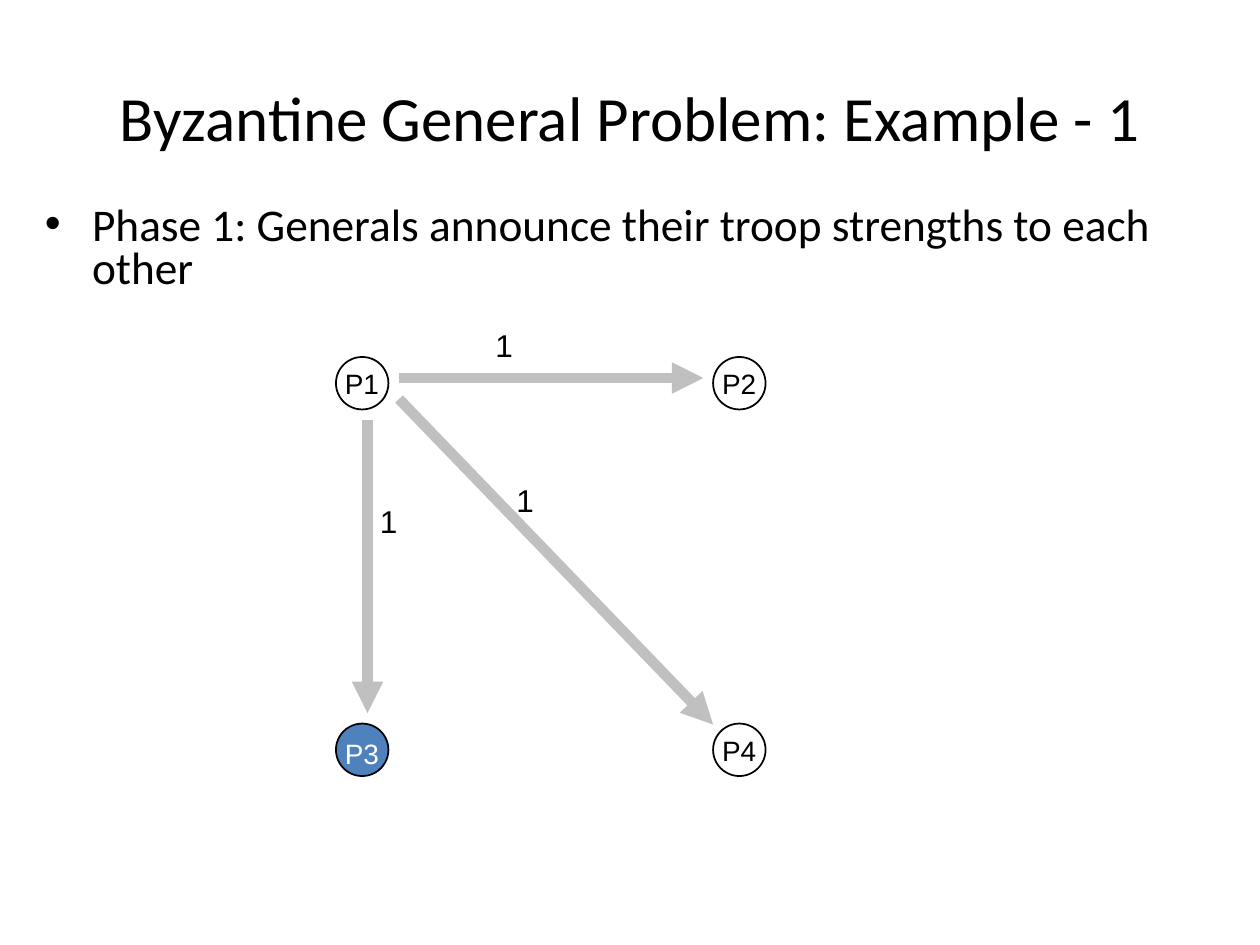
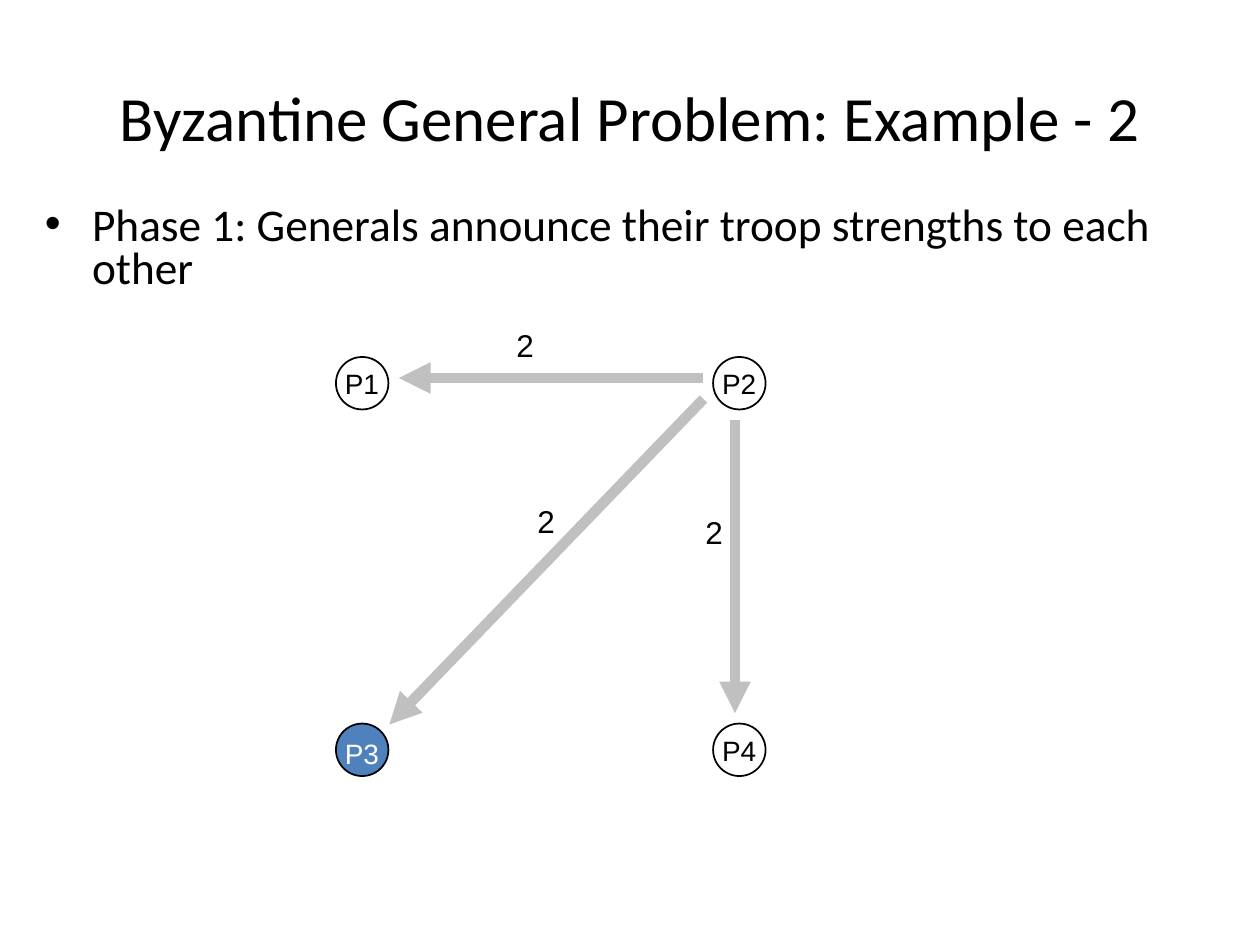
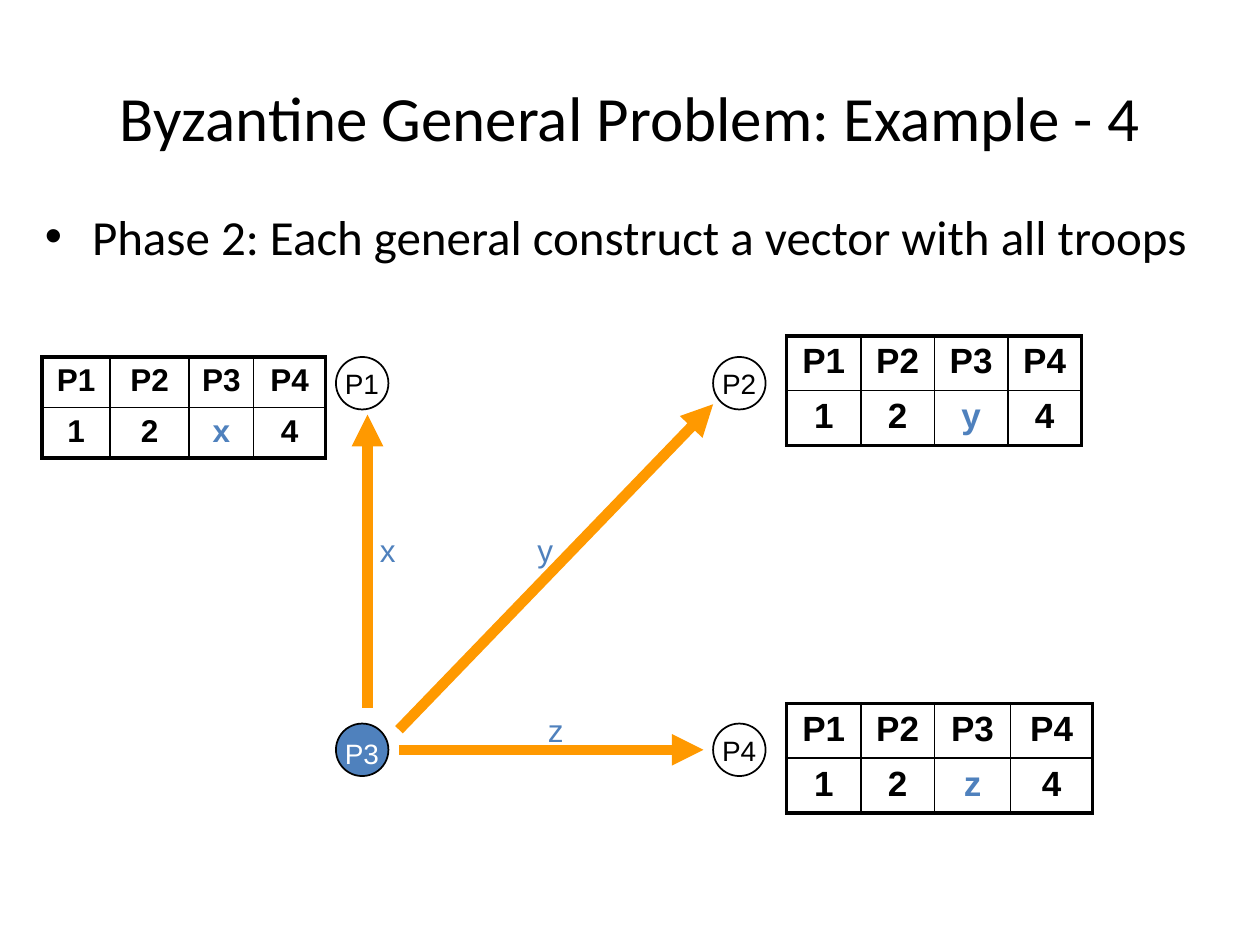
from pptx import Presentation
from pptx.dml.color import RGBColor
from pptx.enum import shapes, text
from pptx.oxml.ns import qn
from pptx.util import Pt
from lxml import etree

BLACK = RGBColor(0x00, 0x00, 0x00)
WHITE = RGBColor(0xFF, 0xFF, 0xFF)
BLUE = RGBColor(0x4F, 0x81, 0xBD)
GRAY = RGBColor(0xC0, 0xC0, 0xC0)
ORANGE = RGBColor(0xFF, 0x99, 0x00)

TITLE = "Byzantine General Problem: Example - {}"
ANNOUNCE = {"text": "Phase 1: Generals announce their troop strengths to each other",
            "size": 25.9, "spacing": 0.8}
COLLECT = {"text": "Phase 2: Each general construct a vector with all troops",
           "size": 28, "spacing": 1}

NODE_SIZE = 30
TRAITOR = "P3"
GENERALS = {"P1": (207, 219), "P2": (422.5, 219),
            "P3": (207, 428.5), "P4": (422.5, 428.5)}

# Arrows: start x, start y, end x, end y. Messages: text, left, top.
# Vectors: left, top, row height, text size, column widths, value reported by P3.
SLIDES = [
    {"number": 1, "phase": ANNOUNCE, "arrow color": GRAY, "message color": BLACK,
     "arrows": [(228, 216, 402, 216), (228, 228, 407.5, 414), (210, 240, 210, 407.5)],
     "messages": [("1", 276, 183), ("1", 288, 271.5), ("1", 210, 283.5)],
     "vectors": []},
    {"number": 2, "phase": ANNOUNCE, "arrow color": GRAY, "message color": BLACK,
     "arrows": [(402, 216, 228, 216), (402, 228, 222.5, 414), (420, 240, 420, 407.5)],
     "messages": [("2", 288, 183), ("2", 300, 283.5), ("2", 396, 289.5)],
     "vectors": []},
    {"number": 4, "phase": COLLECT, "arrow color": ORANGE, "message color": BLUE,
     "arrows": [(228, 428.5, 402, 428.5), (228, 417, 407.5, 231), (210, 404.5, 210, 237)],
     "messages": [("y", 300, 300), ("x", 210, 300), ("z", 306, 403)],
     "vectors": [(24, 204, 27, 18, (39, 45, 37, 41), "x"),
                 (449.5, 192, 31, 20, (42.5, 42, 42, 42), "y"),
                 (449.5, 402, 31, 20, (42.5, 42, 43.5, 47), "z")]},
]


def add_run(paragraph, content, size, color=BLACK, font="Arial", bold=False):
    run = paragraph.add_run()
    run.text = content
    run.font.name = font
    run.font.size = Pt(size)
    run.font.bold = bold
    run.font.color.rgb = color


def add_text(slide, box, content, size, color=BLACK, font="Arial", wrap=False):
    frame = slide.shapes.add_textbox(*map(Pt, box)).text_frame
    frame.word_wrap = wrap
    add_run(frame.paragraphs[0], content, size, color, font)
    return frame


def add_title(slide, number):
    frame = add_text(slide, (36, 21.5, 648, 90), TITLE.format(number), 36,
                     font="Calibri", wrap=True)
    frame.vertical_anchor = text.MSO_ANCHOR.MIDDLE
    frame.paragraphs[0].alignment = text.PP_ALIGN.CENTER


def add_phase(slide, phase):
    frame = add_text(slide, (18.5, 114.5, 671, 60.5), phase["text"], phase["size"],
                     font="Calibri", wrap=True)
    paragraph = frame.paragraphs[0]
    paragraph.line_spacing = phase["spacing"]
    properties = paragraph._p.get_or_add_pPr()
    properties.set("marL", str(Pt(27)))
    properties.set("indent", str(-Pt(27)))
    etree.SubElement(properties, qn("a:buFont")).set("typeface", "Arial")
    etree.SubElement(properties, qn("a:buChar")).set("char", "•")


def add_general(slide, name, center_x, center_y):
    radius = NODE_SIZE / 2
    circle = slide.shapes.add_shape(
        shapes.MSO_SHAPE.OVAL, Pt(center_x - radius), Pt(center_y - radius),
        Pt(NODE_SIZE), Pt(NODE_SIZE))
    circle.shadow.inherit = False
    circle.line.color.rgb = BLACK
    circle.line.width = Pt(1)
    if name == TRAITOR:
        circle.fill.solid()
        circle.fill.fore_color.rgb = BLUE
        color, drop = WHITE, 2
    else:
        circle.fill.background()
        color, drop = BLACK, 0
    add_text(slide, (center_x - 17, center_y - 13 + drop, 34, 26), name, 16, color)


def add_arrow(slide, points, color):
    arrow = slide.shapes.add_connector(shapes.MSO_CONNECTOR.STRAIGHT, *map(Pt, points))
    arrow.line.color.rgb = color
    arrow.line.width = Pt(6)
    etree.SubElement(arrow.line._get_or_add_ln(), qn("a:tailEnd")).set("type", "triangle")
    etree.SubElement(arrow._element.spPr, qn("a:effectLst"))


def set_border(cell, side, width):
    line = etree.SubElement(cell._tc.get_or_add_tcPr(), qn("a:ln" + side))
    line.set("w", str(Pt(width)))
    fill = etree.SubElement(line, qn("a:solidFill"))
    etree.SubElement(fill, qn("a:srgbClr")).set("val", str(BLACK))


def add_vector(slide, left, top, row_height, size, widths, reported):
    """Add the table of troop strengths that one general collects."""
    rows = [list(GENERALS), ["1", "2", reported, "4"]]
    last_row, last_column = len(rows) - 1, len(widths) - 1
    table = slide.shapes.add_table(len(rows), len(widths), Pt(left), Pt(top),
                                   Pt(sum(widths)), Pt(row_height * len(rows))).table
    table.first_row = table.horz_banding = False
    for column, width in zip(table.columns, widths):
        column.width = Pt(width)
    for r, row in enumerate(rows):
        table.rows[r].height = Pt(row_height)
        for c, value in enumerate(row):
            cell = table.cell(r, c)
            outer_sides = {"L": c == 0, "R": c == last_column,
                           "T": r == 0, "B": r == last_row}
            for side, outer in outer_sides.items():
                set_border(cell, side, 2.25 if outer else 1)
            cell.fill.background()
            paragraph = cell.text_frame.paragraphs[0]
            paragraph.alignment = text.PP_ALIGN.CENTER
            add_run(paragraph, value, size, BLUE if value == reported else BLACK, bold=True)


def main():
    presentation = Presentation()
    presentation.slide_width, presentation.slide_height = Pt(720), Pt(540)
    for content in SLIDES:
        slide = presentation.slides.add_slide(presentation.slide_layouts[6])
        add_title(slide, content["number"])
        add_phase(slide, content["phase"])
        for name, center in GENERALS.items():
            add_general(slide, name, *center)
        for points in content["arrows"]:
            add_arrow(slide, points, content["arrow color"])
        for message, left, top in content["messages"]:
            add_text(slide, (left, top, 24, 29), message, 18, content["message color"])
        for vector in content["vectors"]:
            add_vector(slide, *vector)
    presentation.save("out.pptx")


if __name__ == "__main__":
    main()
